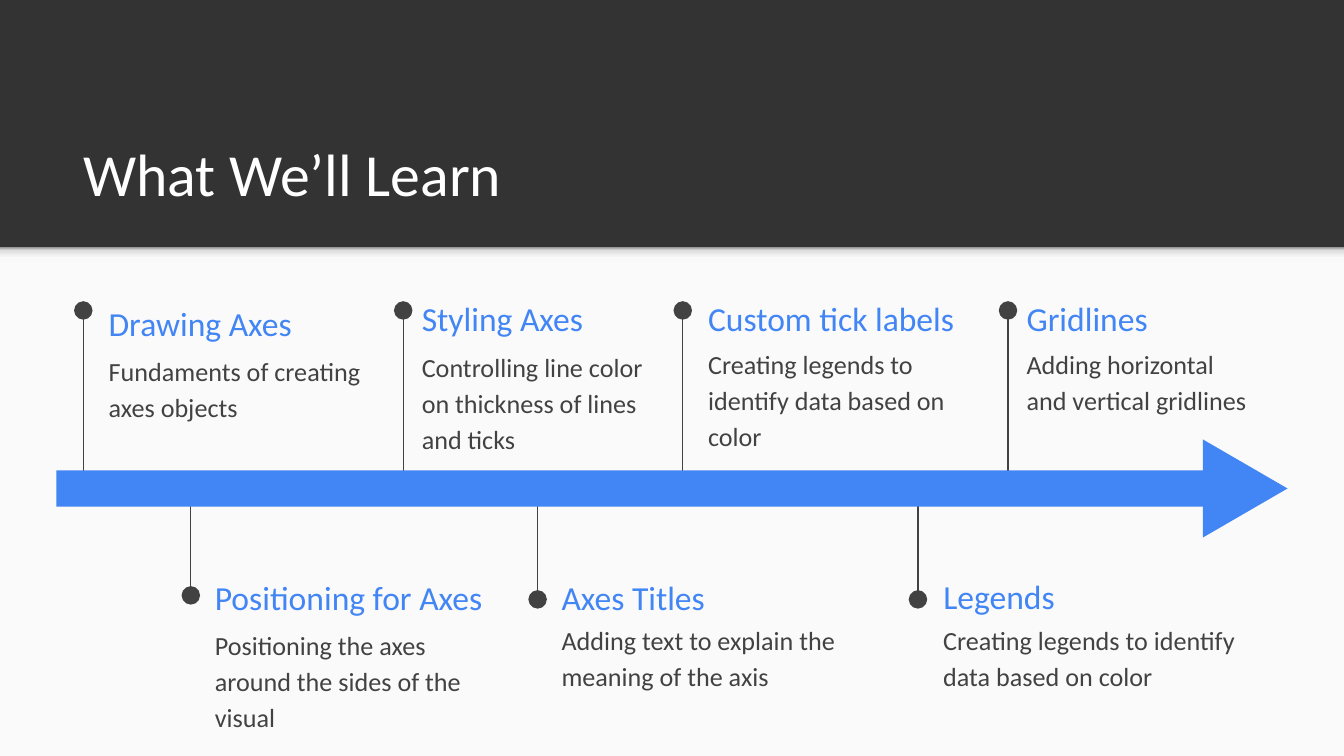
from dataclasses import dataclass

from lxml.etree import SubElement
from pptx import Presentation
from pptx.dml.color import RGBColor
from pptx.enum.shapes import MSO_CONNECTOR, MSO_SHAPE
from pptx.enum.text import MSO_ANCHOR
from pptx.oxml import parse_xml
from pptx.oxml.ns import nsdecls, qn
from pptx.util import Inches, Pt


@dataclass(frozen=True)
class Theme:
    font: str = "Calibri"
    dark: str = "333333"
    paper: str = "FAFAFA"
    text: str = "424242"
    accent: str = "4285F4"
    white: str = "FFFFFF"
    shadow_stops: tuple = ((0, "F9F9F9"), (36, "F9F9F9"), (80, "DEDEDE"), (100, "999999"))
    title_size: int = 32
    heading_size: int = 18
    body_size: int = 14
    line_width: float = 0.75


@dataclass(frozen=True)
class Milestone:
    """A topic: pin x, pin start and end y, text left, tops and widths."""
    heading: str
    body: str
    pin: tuple
    left: float
    tops: tuple
    widths: tuple


THEME = Theme()
SLIDE_WIDTH = 10
SLIDE_HEIGHT = SLIDE_WIDTH * 9 / 16
HEADER_HEIGHT = 1.84

MILESTONES = (
    Milestone("Drawing Axes", "Fundaments of creating axes objects",
              (0.62, 3.58, 2.31), 0.71, (2.19, 2.51), (2.16, 2.29)),
    Milestone("Styling Axes", "Controlling line color on thickness of lines and ticks",
              (3, 3.58, 2.31), 3.04, (2.15, 2.48), (1.88, 2.04)),
    Milestone("Custom tick labels", "Creating legends to identify data based on color",
              (5.08, 3.57, 2.31), 5.17, (2.15, 2.46), (2.08, 2.08)),
    Milestone("Gridlines", "Adding horizontal and vertical gridlines",
              (7.5, 3.57, 2.31), 7.54, (2.15, 2.46), (1.88, 1.87)),
    Milestone("Positioning for Axes", "Positioning the axes around the sides of the visual",
              (1.42, 3.7, 4.43), 1.5, (4.23, 4.55), (2.29, 2.29)),
    Milestone("Axes Titles", "Adding text to explain the meaning of the axis",
              (4, 3.73, 4.46), 4.08, (4.23, 4.51), (2.42, 2.46)),
    Milestone("Legends", "Creating legends to identify data based on color",
              (6.83, 3.73, 4.46), 6.92, (4.22, 4.51), (2.42, 2.46)),
)


def color(value):
    return RGBColor.from_string(value)


def add_block(slide, kind, box, fill):
    shape = slide.shapes.add_shape(kind, *map(Inches, box))
    shape.shadow.inherit = False
    shape.fill.solid()
    shape.fill.fore_color.rgb = color(fill)
    shape.line.fill.background()
    return shape


def add_text(slide, box, text, size, text_color, anchor=MSO_ANCHOR.TOP):
    text_box = slide.shapes.add_textbox(*map(Inches, box))
    frame = text_box.text_frame
    frame.word_wrap = True
    frame.vertical_anchor = anchor
    frame.margin_left = frame.margin_right = Inches(0.1)
    frame.margin_top = frame.margin_bottom = Inches(0.1)
    paragraph = frame.paragraphs[0]
    run = paragraph.add_run()
    run.text = text
    run.font.name = THEME.font
    run.font.size = Pt(size)
    run.font.color.rgb = color(text_color)
    return paragraph


def add_pin(slide, x, start, end):
    """Draw a vertical line with a dot at its end."""
    connector = slide.shapes.add_connector(
        MSO_CONNECTOR.STRAIGHT, Inches(x), Inches(start), Inches(x), Inches(end))
    connector.line.color.rgb = color(THEME.text)
    connector.line.width = Pt(THEME.line_width)
    SubElement(connector.line._get_or_add_ln(), qn("a:tailEnd"), type="oval", w="lg", len="lg")
    SubElement(connector._element.spPr, qn("a:effectLst"))


def add_shadow_band(slide, box):
    """Fade from grey at the top to the paper colour at the bottom."""
    band = add_block(slide, MSO_SHAPE.RECTANGLE, box, THEME.paper)
    stops = "".join(
        f'<a:gs pos="{position * 1000}"><a:srgbClr val="{value}"/></a:gs>'
        for position, value in THEME.shadow_stops)
    gradient = parse_xml(
        f'<a:gradFill {nsdecls("a")} rotWithShape="0"><a:gsLst>{stops}</a:gsLst>'
        '<a:lin ang="16200000" scaled="0"/></a:gradFill>')
    properties = band._element.spPr
    properties.replace(properties.find(qn("a:solidFill")), gradient)


def add_header(slide, box):
    left, top, width, height = box
    add_text(slide, (left + 0.52, top + 0.81, 8.99, 0.84), "What We’ll Learn",
             THEME.title_size, THEME.white, MSO_ANCHOR.BOTTOM)
    add_shadow_band(slide, (left, top + height, width, 0.12))


def add_milestone(slide, milestone):
    add_pin(slide, *milestone.pin)
    heading_top, body_top = milestone.tops
    heading_width, body_width = milestone.widths
    add_text(slide, (milestone.left, heading_top, heading_width, 0.43), milestone.heading,
             THEME.heading_size, THEME.accent, MSO_ANCHOR.MIDDLE)
    paragraph = add_text(slide, (milestone.left, body_top, body_width, 0.63),
                         milestone.body, THEME.body_size, THEME.text)
    paragraph.line_spacing = 1.15
    paragraph.space_after = Pt(16)


def add_timeline_arrow(slide, box):
    """Fill the box with a bar and a triangular head at its right end."""
    left, top, width, height = box
    head_length, bar_height = 0.63, 0.27
    middle = top + height / 2
    head_center = left + width - head_length / 2
    head = add_block(slide, MSO_SHAPE.ISOSCELES_TRIANGLE,
                     (head_center - height / 2, middle - head_length / 2, height, head_length),
                     THEME.accent)
    head.rotation = 90
    add_block(slide, MSO_SHAPE.RECTANGLE,
              (left, middle - bar_height / 2, 8.64, bar_height), THEME.accent)


def build_timeline_slide(presentation):
    slide = presentation.slides.add_slide(presentation.slide_layouts[6])
    slide.background.fill.solid()
    slide.background.fill.fore_color.rgb = color(THEME.dark)
    add_block(slide, MSO_SHAPE.RECTANGLE,
              (0, HEADER_HEIGHT, SLIDE_WIDTH, SLIDE_HEIGHT - HEADER_HEIGHT), THEME.paper)
    add_header(slide, (0, 0, SLIDE_WIDTH, HEADER_HEIGHT))
    for milestone in MILESTONES:
        add_milestone(slide, milestone)
    add_timeline_arrow(slide, (0.42, 3.27, 9.16, 0.73))


def main():
    presentation = Presentation()
    presentation.slide_width = Inches(SLIDE_WIDTH)
    presentation.slide_height = Inches(SLIDE_HEIGHT)
    build_timeline_slide(presentation)
    presentation.save("out.pptx")


if __name__ == "__main__":
    main()
